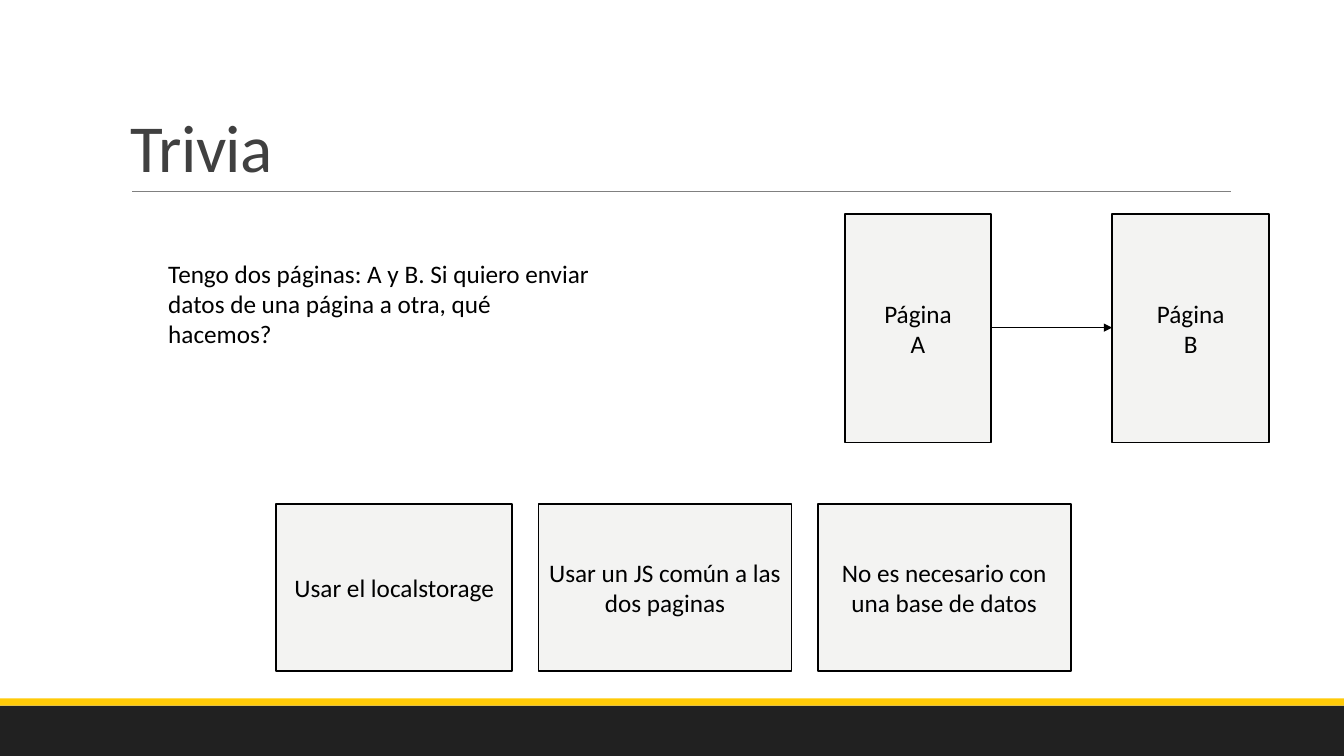
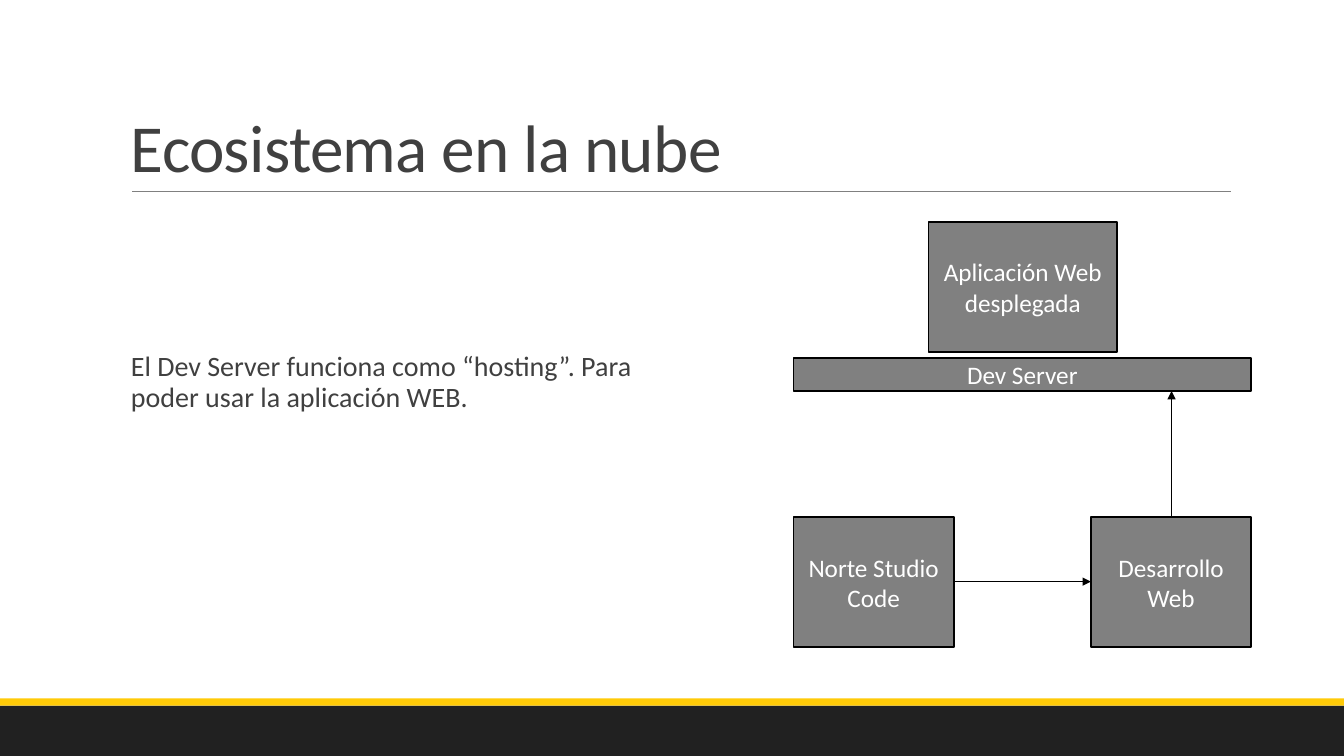
from lxml.etree import SubElement
from pptx import Presentation
from pptx.dml.color import RGBColor
from pptx.enum.shapes import MSO_CONNECTOR as Connector, MSO_SHAPE as Shape
from pptx.enum.text import MSO_ANCHOR as Anchor, PP_ALIGN as Align
from pptx.oxml.ns import qn
from pptx.util import Inches, Pt

BLACK = RGBColor(0x00, 0x00, 0x00)
WHITE = RGBColor(0xFF, 0xFF, 0xFF)
CHARCOAL = RGBColor(0x21, 0x21, 0x21)
INK = RGBColor(0x40, 0x40, 0x40)
GRAY = RGBColor(0x80, 0x80, 0x80)
PALE = RGBColor(0xF3, 0xF3, 0xF2)
YELLOW = RGBColor(0xFF, 0xCA, 0x08)
FONT = "Calibri"
WIDTH, HEIGHT = 13.33, 7.5


class SlideBuilder:
    """Holds the deck's style and the current slide."""

    def __init__(self):
        self.deck = Presentation()
        self.deck.slide_width = Inches(WIDTH)
        self.deck.slide_height = Inches(HEIGHT)
        self.page = None

    def start(self, title):
        self.page = self.deck.slides.add_slide(self.deck.slide_layouts[6])
        # Footer bands and title rule
        self.rectangle(0, 7, WIDTH, 0.5, CHARCOAL)
        self.rectangle(0, 6.93, WIDTH, 0.07, YELLOW)
        self.line((1.31, 1.9), (12.21, 1.9), GRAY, 0.5)
        # Title
        box = self.text(1.2, 0.31, 11, 1.59, title, 48, INK, Anchor.BOTTOM, 0.85)
        box.text_frame.paragraphs[0].font._element.set("spc", "-50")

    def fill_text(self, shape, text, size, color, anchor, align=Align.LEFT, spacing=1.0):
        frame = shape.text_frame
        frame.word_wrap = True
        frame.vertical_anchor = anchor
        frame.text = text
        for para in frame.paragraphs:
            para.alignment = align
            para.line_spacing = spacing
            para.font.name = FONT
            para.font.size = Pt(size)
            para.font.color.rgb = color

    def text(self, left, top, width, height, text, size, color,
             anchor=Anchor.TOP, spacing=1.0):
        box = self.page.shapes.add_textbox(
            Inches(left), Inches(top), Inches(width), Inches(height))
        self.fill_text(box, text, size, color, anchor, spacing=spacing)
        return box

    def rectangle(self, left, top, width, height, fill):
        shape = self.page.shapes.add_shape(
            Shape.RECTANGLE, Inches(left), Inches(top), Inches(width), Inches(height))
        shape.shadow.inherit = False
        shape.fill.solid()
        shape.fill.fore_color.rgb = fill
        shape.line.fill.background()
        return shape

    def node(self, left, top, width, height, text, fill=PALE, color=BLACK):
        shape = self.rectangle(left, top, width, height, fill)
        shape.line.color.rgb = BLACK
        shape.line.width = Pt(1.25)
        self.fill_text(shape, text, 18, color, Anchor.MIDDLE, Align.CENTER)

    def line(self, start, end, color, weight):
        line = self.page.shapes.add_connector(
            Connector.STRAIGHT, *(Inches(value) for value in (*start, *end)))
        line.line.color.rgb = color
        line.line.width = Pt(weight)
        SubElement(line._element.spPr, qn("a:effectLst"))
        return line

    def arrow(self, start, end):
        line = self.line(start, end, BLACK, 1)
        outline = line._element.spPr.find(qn("a:ln"))
        SubElement(outline, qn("a:tailEnd"), type="triangle")


def build_trivia(builder):
    builder.start("Trivia")
    builder.text(1.57, 2.51, 4.48, 1.01,
                 "Tengo dos páginas: A y B. Si quiero enviar datos de una "
                 "página a otra, qué hacemos?", 18, BLACK)

    # The two pages
    for left, width, letter in ((8.38, 1.45, "A"), (11.03, 1.56, "B")):
        builder.node(left, 2.12, width, 2.27, f"Página\n{letter}")
    builder.arrow((9.83, 3.25), (11.03, 3.25))

    # Possible answers
    left, gap = 2.74, 0.26
    for width, answer in ((2.34, "Usar el localstorage"),
                          (2.51, "Usar un JS común a las dos paginas"),
                          (2.51, "No es necesario con una base de datos")):
        builder.node(left, 5, width, 1.66, answer)
        left += width + gap


def build_ecosystem(builder):
    builder.start("Ecosistema en la nube")
    builder.text(1.2, 2.02, 5.54, 3.56,
                 "El Dev Server funciona como “hosting”. Para poder usar la "
                 "aplicación WEB.", 20, INK, Anchor.MIDDLE, 0.9)

    # Application, server and development tools
    for left, top, width, height, label in (
            (9.21, 2.2, 1.87, 1.29, "Aplicación Web desplegada"),
            (7.87, 3.55, 4.54, 0.33, "Dev Server"),
            (7.87, 5.13, 1.59, 1.29, "Norte Studio Code"),
            (10.82, 5.13, 1.59, 1.29, "Desarrollo Web")):
        builder.node(left, top, width, height, label, GRAY, WHITE)
    builder.arrow((9.46, 5.77), (10.82, 5.77))
    builder.arrow((11.62, 5.13), (11.62, 3.88))


def main():
    builder = SlideBuilder()
    build_trivia(builder)
    build_ecosystem(builder)
    builder.deck.save("out.pptx")


if __name__ == "__main__":
    main()
